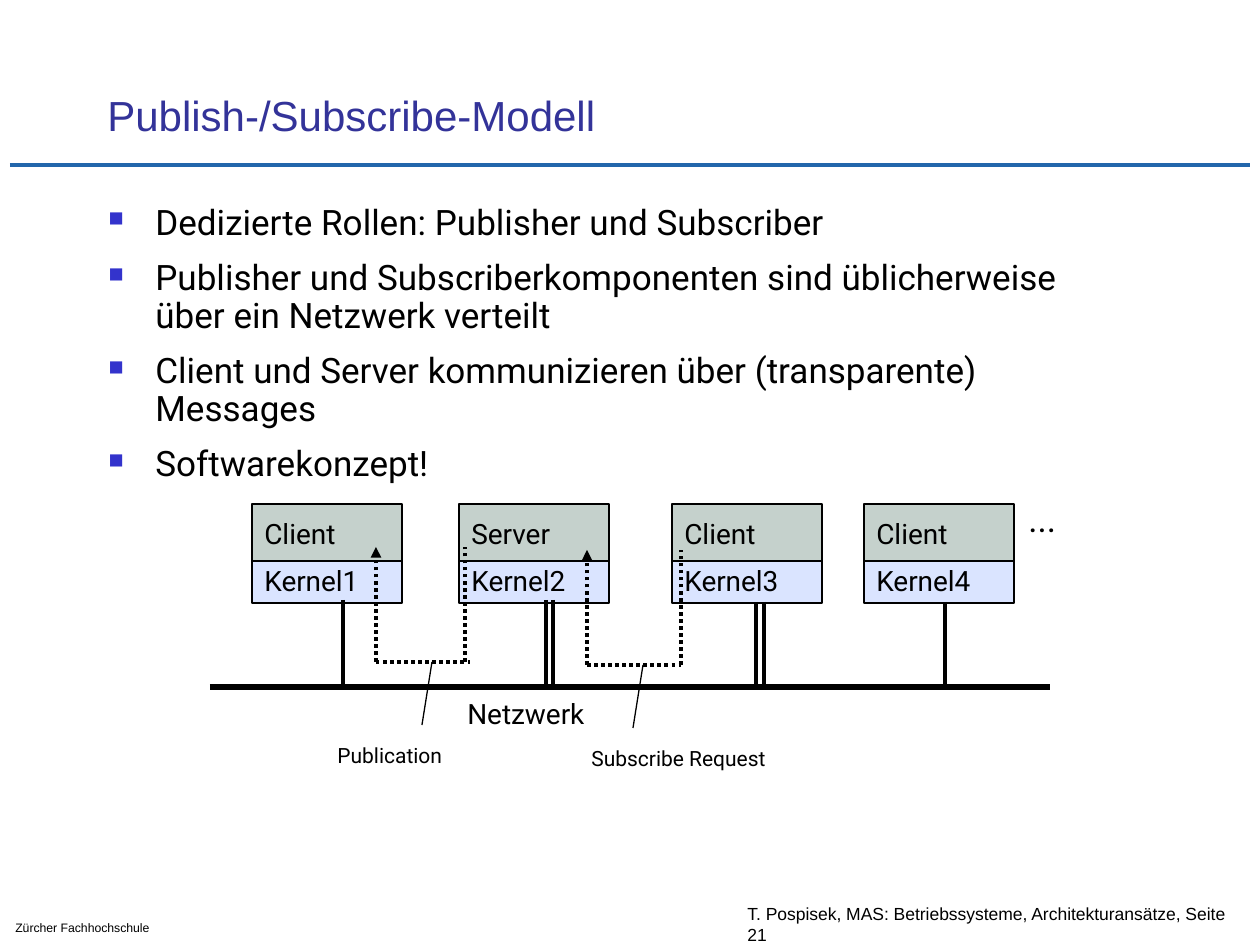
from lxml.etree import SubElement
from pptx import Presentation
from pptx.dml.color import RGBColor
from pptx.enum.dml import MSO_LINE
from pptx.enum.shapes import MSO_CONNECTOR, MSO_SHAPE
from pptx.enum.text import MSO_ANCHOR
from pptx.oxml.ns import qn
from pptx.util import Pt

COLORS = {
    "ink": "000000", "title": "333399", "rule": "2266AB",
    "bullet": "3333CC", "app": "C5D1CC", "kernel": "DAE4FF",
}
UNIT = 914400 / 126  # EMU in one px


def emu(px):
    return round(px * UNIT)


def color(name):
    return RGBColor.from_string(COLORS[name])


class Board:
    def __init__(self, slide, font="Roboto"):
        self.shapes = slide.shapes
        self.font = font

    def style(self, para, size, ink, font):
        for run in para.runs:
            run.font.size = Pt(size)
            run.font.name = font or self.font
            run.font.color.rgb = color(ink)

    def text(self, box, words, size, ink="ink", font=None, anchor=MSO_ANCHOR.TOP):
        x, y, w, h = map(emu, box)
        frame = self.shapes.add_textbox(x, y, w, h).text_frame
        frame.word_wrap = True
        frame.vertical_anchor = anchor
        frame.text = words
        for para in frame.paragraphs:
            self.style(para, size, ink, font)
        return frame

    def bullets(self, box, items, size):
        frame = self.text(box, "\n".join(items), size)
        for num, para in enumerate(frame.paragraphs):
            props = para._p.get_or_add_pPr()
            props.set("marL", str(emu(48)))
            props.set("indent", str(emu(-47)))
            tint = SubElement(props, qn("a:buClr"))
            SubElement(tint, qn("a:srgbClr"), val=COLORS["bullet"])
            SubElement(props, qn("a:buSzPct"), val="60000")
            SubElement(props, qn("a:buChar"), char="■")
            para.line_spacing = 0.9
            if num:
                para.space_before = Pt(10)

    def block(self, box, words, fill):
        shape = self.shapes.add_shape(MSO_SHAPE.RECTANGLE, *map(emu, box))
        shape.shadow.inherit = False
        shape.fill.solid()
        shape.fill.fore_color.rgb = color(fill)
        shape.line.color.rgb = color("ink")
        shape.line.width = Pt(0.75)
        frame = shape.text_frame
        frame.vertical_anchor = MSO_ANCHOR.MIDDLE
        frame.text = words
        para = frame.paragraphs[0]
        para.alignment = 1  # left
        para.line_spacing = 0.9
        self.style(para, 16, "ink", None)

    def line(self, start, end, width=2, ink="ink", dots=False, arrow=False):
        link = self.shapes.add_connector(
            MSO_CONNECTOR.STRAIGHT, *map(emu, start + end))
        link.line.color.rgb = color(ink)
        link.line.width = Pt(width)
        if dots:
            link.line.dash_style = MSO_LINE.ROUND_DOT
        if arrow:
            SubElement(link.line._get_or_add_ln(), qn("a:tailEnd"), type="triangle")
        SubElement(link._element.spPr, qn("a:effectLst"))

    def route(self, left, right, top, low, end):
        """Dotted message path that ends in an arrow, with its pointer line."""
        self.line((left, low), (left, top), dots=True, arrow=True)
        self.line((left, low), (end, low), dots=True)
        self.line((right, low), (right, top), dots=True)
        self.line((left + 46, low + 63), (left + 56, low), 0.75)


def main():
    deck = Presentation()
    deck.slide_width, deck.slide_height = emu(1260), emu(945)
    board = Board(deck.slides.add_slide(deck.slide_layouts[6]))

    # Frame: rule, footer, title
    board.line((10, 165), (1250, 165), 2.5, "rule")
    board.text((735, 903, 525, 42),
               "T. Pospisek, MAS: Betriebssysteme, Architekturansätze, Seite 21",
               10, font="Arial", anchor=MSO_ANCHOR.MIDDLE)
    board.text((3, 914, 217, 28), "Zürcher Fachhochschule", 7, font="Arial")
    board.text((95, 42, 1073, 104), "Publish-/Subscribe-Modell", 24,
               "title", "Arial", MSO_ANCHOR.BOTTOM)

    # Key points
    board.bullets((95, 199, 1050, 290), [
        "Dedizierte Rollen: Publisher und Subscriber",
        "Publisher und Subscriberkomponenten sind üblicherweise über ein Netzwerk verteilt",
        "Client und Server kommunizieren über (transparente) Messages",
        "Softwarekonzept!",
    ], 20)

    # Nodes: role above kernel
    nodes = [(252, "Client"), (459, "Server"), (672, "Client"), (864, "Client")]
    for num, (x, role) in enumerate(nodes, 1):
        board.block((x, 504, 150, 63), role, "app")
        board.block((x, 561, 150, 42), f"Kernel{num}", "kernel")
    board.text((1016, 491, 53, 54), "...", 20)

    # Network and its drops
    board.line((210, 687), (1050, 687), 3.25)
    for x, top in [(343, 600), (546, 600), (553, 600),
                   (756, 602), (764, 602), (945, 602)]:
        board.line((x, top), (x, top + 85))
    board.text((455, 690, 150, 47), "Netzwerk", 16)

    # Messages
    board.route(376, 465, 547, 662, 470)
    board.route(587, 681, 550, 665, 681)
    board.text((325, 736, 135, 38), "Publication", 12)
    board.text((579, 739, 207, 38), "Subscribe Request", 12)

    deck.save("out.pptx")


if __name__ == "__main__":
    main()
